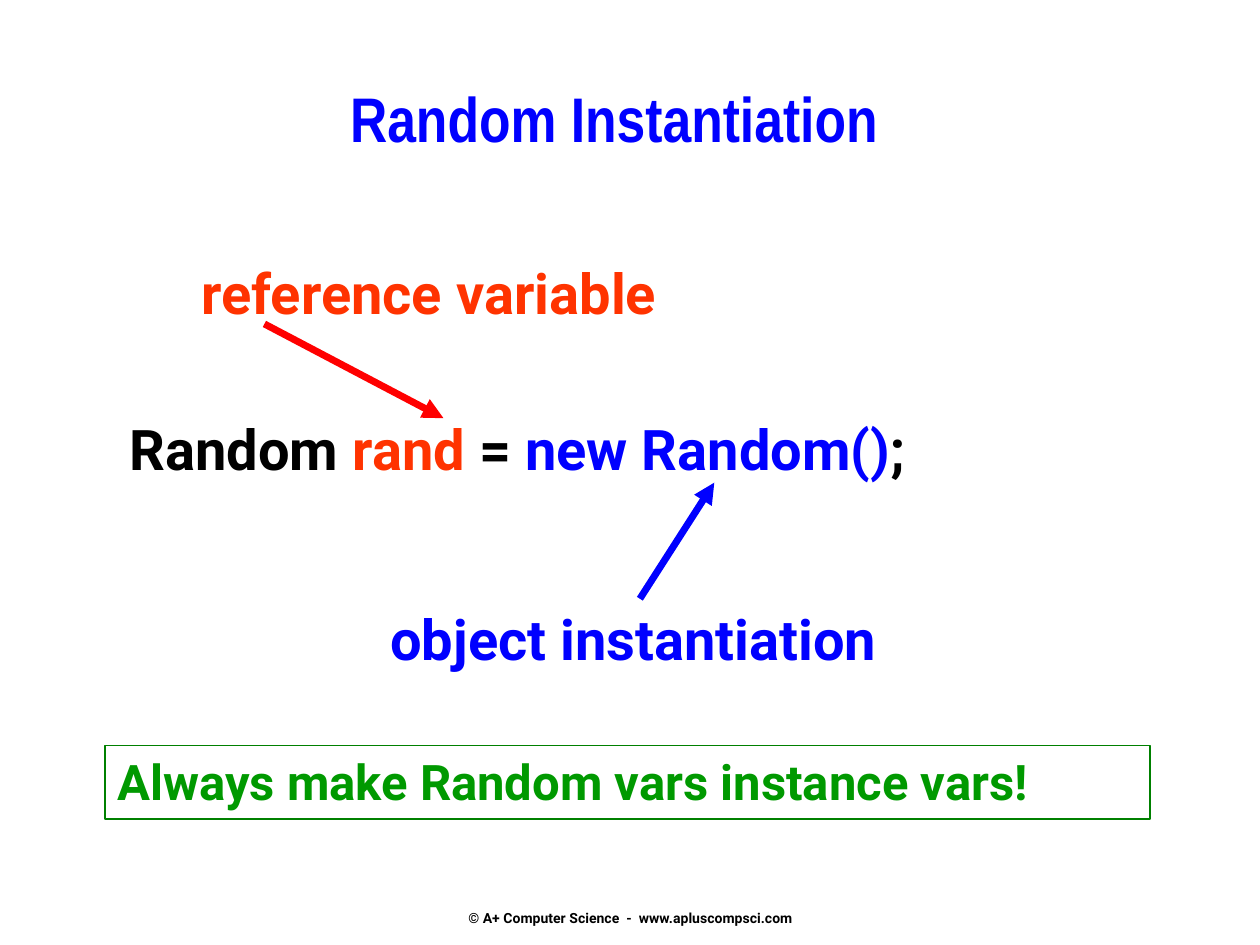
from dataclasses import dataclass
from typing import NamedTuple

from lxml.etree import SubElement
from pptx import Presentation
from pptx.dml.color import RGBColor
from pptx.enum.shapes import MSO_CONNECTOR, MSO_SHAPE
from pptx.enum.text import MSO_ANCHOR as Anchor, PP_ALIGN as Align
from pptx.oxml.ns import qn
from pptx.util import Cm, Pt


@dataclass(frozen=True)
class Theme:
    white: str = "FFFFFF"
    black: str = "000000"
    blue: str = "0000FF"
    orange: str = "FF3300"
    red: str = "FF0000"
    green: str = "009900"
    frame: str = "008000"
    title_font: str = "Arial Narrow"
    body_font: str = "Roboto"
    title_size: int = 36
    label_size: int = 32
    note_size: int = 28
    footer_size: int = 8
    arrow_width: int = 4


class Box(NamedTuple):
    """A region in centimetres."""
    left: float
    top: float
    width: float
    height: float

    def inner(self, left, top, width, height):
        return Box(self.left + left, self.top + top, width, height)

    def lengths(self):
        return [Cm(value) for value in self]


THEME = Theme()
LINE_HEIGHT = 1.6


def color(value):
    return RGBColor.from_string(value)


def add_text(slide, box, *runs, size, font=THEME.body_font, align=Align.LEFT,
             anchor=Anchor.TOP, bottom=0.13, fill=None, line=None):
    """Add bold text from (text, colour) runs, in a rectangle if filled or outlined."""
    if fill or line:
        shape = slide.shapes.add_shape(MSO_SHAPE.RECTANGLE, *box.lengths())
        shape.shadow.inherit = False
        if fill:
            shape.fill.solid()
            shape.fill.fore_color.rgb = color(fill)
        else:
            shape.fill.background()
        if line:
            shape.line.color.rgb = color(line)
            shape.line.width = Pt(1)
        else:
            shape.line.fill.background()
    else:
        shape = slide.shapes.add_textbox(*box.lengths())
    frame = shape.text_frame
    frame.word_wrap = True
    frame.vertical_anchor = anchor
    frame.margin_bottom = Cm(bottom)
    paragraph = frame.paragraphs[0]
    paragraph.alignment = align
    for text, text_color in runs:
        run = paragraph.add_run()
        run.text = text
        run.font.name = font
        run.font.size = Pt(size)
        run.font.bold = True
        run.font.color.rgb = color(text_color)


def add_arrow(slide, box, start, end, line_color):
    """Draw an arrow between two points measured from the box's corner."""
    points = [Cm(origin + offset) for point in (start, end)
              for origin, offset in zip((box.left, box.top), point)]
    arrow = slide.shapes.add_connector(MSO_CONNECTOR.STRAIGHT, *points)
    arrow.line.color.rgb = color(line_color)
    arrow.line.width = Pt(THEME.arrow_width)
    SubElement(arrow.line._get_or_add_ln(), qn("a:tailEnd"), type="triangle")
    SubElement(arrow._element.spPr, qn("a:effectLst"))


def add_title(slide, box):
    add_text(slide, box, ("Random Instantiation", THEME.blue),
             size=THEME.title_size, font=THEME.title_font, align=Align.CENTER)


def add_declaration(slide, box):
    """Show the code line between its two labels, with an arrow from each."""
    size = THEME.label_size
    add_text(slide, box.inner(0, 3.15, box.width, LINE_HEIGHT),
             ("Random ", THEME.black), ("rand", THEME.orange),
             (" = ", THEME.black), ("new Random()", THEME.blue),
             (";", THEME.black), size=size, fill=THEME.white)
    add_arrow(slide, box, (2.97, 1.45), (6.58, 3.35), THEME.red)
    add_text(slide, box.inner(1.45, 0, 10.82, LINE_HEIGHT),
             ("reference variable", THEME.orange), size=size)
    label_top = box.height - LINE_HEIGHT
    add_arrow(slide, box, (10.54, label_top), (12.04, 4.65), THEME.blue)
    add_text(slide, box.inner(5.26, label_top, 11.61, LINE_HEIGHT),
             ("object instantiation", THEME.blue), size=size)


def add_note(slide, box):
    add_text(slide, box, ("Always make Random vars instance vars!", THEME.green),
             size=THEME.note_size, line=THEME.frame)


def add_footer(slide, box):
    add_text(slide, box,
             ("© A+ Computer Science  -  www.apluscompsci.com", THEME.black),
             size=THEME.footer_size, align=Align.CENTER,
             anchor=Anchor.BOTTOM, bottom=0)


def main():
    presentation = Presentation()
    presentation.slide_width = Cm(25.4)
    presentation.slide_height = Cm(19.05)
    slide = presentation.slides.add_slide(presentation.slide_layouts[6])
    add_footer(slide, Box(8.69, 17.35, 8.05, 1.32))
    add_title(slide, Box(1.9, 1.48, 20.96, 2.1))
    add_declaration(slide, Box(2.36, 5.08, 18.8, 8.59))
    add_note(slide, Box(2.12, 15.03, 21.06, 1.48))
    presentation.save("out.pptx")


if __name__ == "__main__":
    main()
